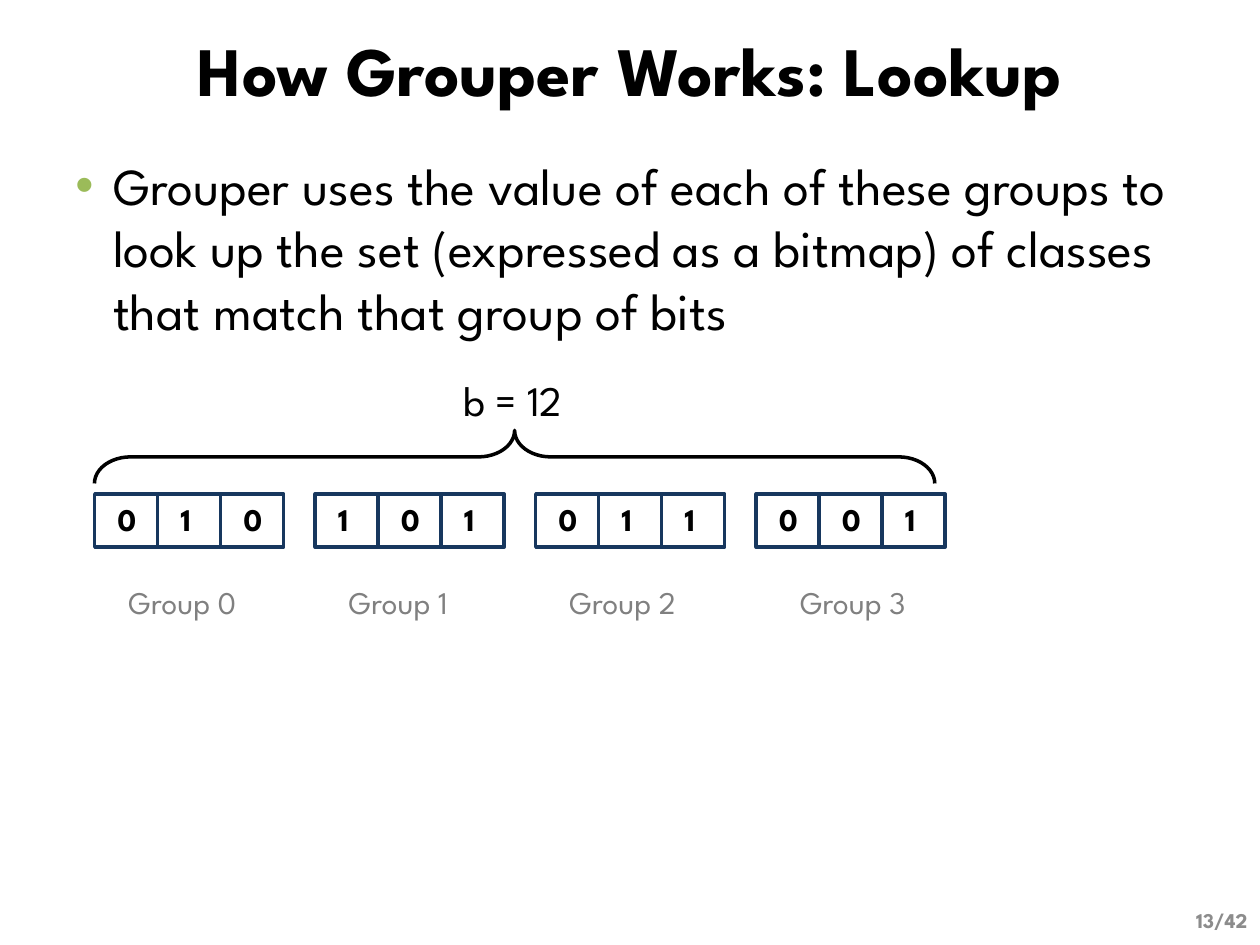
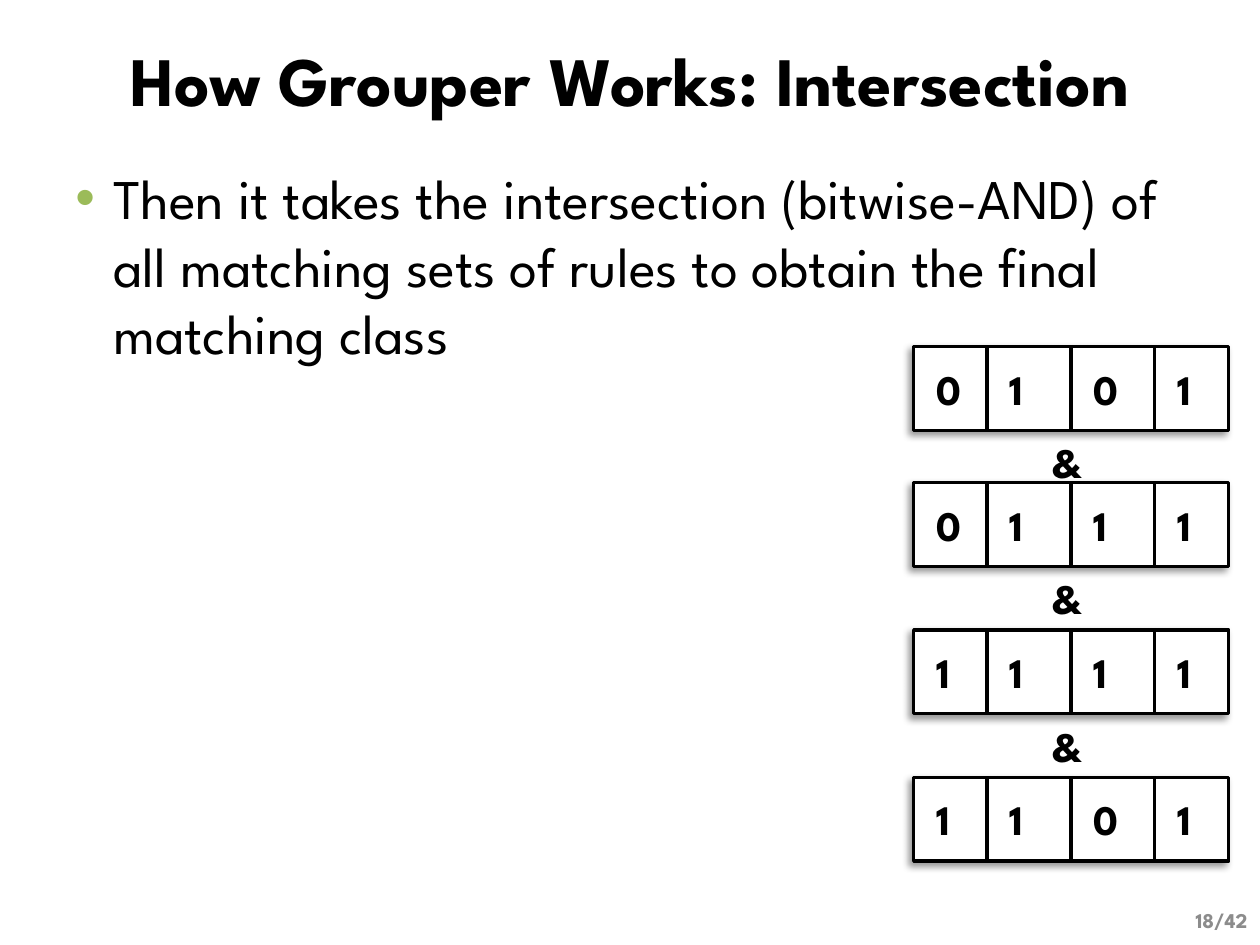
"""Build two slides on how Grouper looks up bit groups and intersects the matches."""
from lxml.etree import SubElement
from pptx import Presentation
from pptx.dml.color import RGBColor
from pptx.enum.shapes import MSO_CONNECTOR, MSO_SHAPE
from pptx.enum.text import MSO_ANCHOR, PP_ALIGN
from pptx.oxml.ns import qn
from pptx.util import Cm, Pt

LOOKUP = {
    "title": "How Grouper Works: Lookup",
    "body": "Grouper uses the value of each of these groups to look up the set "
            "(expressed as a bitmap) of classes that match that group of bits",
    "body_size": 29.6,
    "shift": -0.2,
    "number": "13/42",
}
INTERSECTION = {
    "title": "How Grouper Works: Intersection",
    "body": "Then it takes the intersection (bitwise-AND) of all matching sets of rules "
            "to obtain the final matching class",
    "body_size": 32,
    "shift": 0,
    "number": "18/42",
}
KEY_LENGTH = "b = 12"
GROUPS = [("Group 0", "010", 2.34), ("Group 1", "101", 6.78),
          ("Group 2", "011", 11.23), ("Group 3", "001", 15.88)]
BITMAPS = [("0101", 6.99), ("0111", 9.73), ("1111", 12.7), ("1101", 15.67)]

FONT = "League Spartan"
BLACK = RGBColor(0x00, 0x00, 0x00)
WHITE = RGBColor(0xFF, 0xFF, 0xFF)
NAVY = RGBColor(0x17, 0x37, 0x5E)
LABEL_GREY = RGBColor(0x80, 0x80, 0x80)
NUMBER_GREY = RGBColor(0x8C, 0x8C, 0x8C)
BULLET_GREEN = "9BBB59"

GROUP_LEFT, GROUP_TOP, GROUP_PITCH = 1.91, 9.96, 4.445
BIT_WIDTH, BIT_HEIGHT = 1.27, 1.07
BITMAP_LEFT, BITMAP_WIDTH, BITMAP_HEIGHT = 18.42, 6.35, 1.69
DIVIDERS = (1.48, 3.17, 4.86)
DIGIT_INSET = 0.21


def add_text(page, text, left, top, width, height, size=18, color=BLACK, bold=False,
             align=PP_ALIGN.LEFT, anchor=MSO_ANCHOR.TOP, wrap=True, bullet=None):
    box = page.shapes.add_textbox(Cm(left), Cm(top), Cm(width), Cm(height))
    frame = box.text_frame
    frame.word_wrap = wrap
    frame.vertical_anchor = anchor
    para = frame.paragraphs[0]
    para.alignment = align
    if bullet:
        add_bullet(para, bullet)
    span = para.add_run()
    span.text = text
    span.font.name = FONT
    span.font.size = Pt(size)
    span.font.bold = bold
    span.font.color.rgb = color


def add_bullet(para, color):
    properties = para._p.get_or_add_pPr()
    properties.set("marL", str(Cm(0.76)))
    properties.set("indent", str(-Cm(0.76)))
    bullet_color = SubElement(properties, qn("a:buClr"))
    SubElement(bullet_color, qn("a:srgbClr"), val=color)
    SubElement(properties, qn("a:buFont"), typeface="Arial")
    SubElement(properties, qn("a:buChar"), char="•")


def add_outline(page, left, top, width, height, color=BLACK, kind=MSO_SHAPE.RECTANGLE):
    shape = page.shapes.add_shape(kind, Cm(left), Cm(top), Cm(width), Cm(height))
    shape.shadow.inherit = False
    shape.line.color.rgb = color
    shape.line.width = Pt(2)
    if kind == MSO_SHAPE.RECTANGLE:
        shape.fill.solid()
        shape.fill.fore_color.rgb = WHITE
    else:
        shape.fill.background()
    return shape


def add_soft_shadow(shape):
    effects = shape._element.spPr.find(qn("a:effectLst"))
    shadow = SubElement(effects, qn("a:outerShdw"), blurRad=str(Pt(4)), dist=str(Pt(3)),
                        dir="8100000", algn="tr", rotWithShape="0")
    shade = SubElement(shadow, qn("a:srgbClr"), val=str(BLACK))
    SubElement(shade, qn("a:alpha"), val="40000")


def add_page(deck, content):
    page = deck.slides.add_slide(deck.slide_layouts[6])
    shift = content["shift"]
    add_text(page, content["title"], 1.27, shift, 22.86, 3.18, size=39.6, bold=True,
             align=PP_ALIGN.CENTER, anchor=MSO_ANCHOR.MIDDLE)
    add_text(page, content["body"], 1.27, 3.18 + shift, 22.86, 4.45,
             size=content["body_size"], bullet=BULLET_GREEN)
    add_text(page, content["number"], 19.48, 18.03, 5.92, 1.02, size=12, bold=True,
             color=NUMBER_GREY, align=PP_ALIGN.RIGHT, anchor=MSO_ANCHOR.MIDDLE)
    return page


def add_bit_group(page, bits, left):
    add_outline(page, left, GROUP_TOP, BIT_WIDTH * len(bits), BIT_HEIGHT, NAVY)
    add_outline(page, left + BIT_WIDTH, GROUP_TOP, BIT_WIDTH, BIT_HEIGHT, NAVY)
    for index, bit in enumerate(bits):
        add_text(page, bit, left + index * BIT_WIDTH + DIGIT_INSET, GROUP_TOP, 0.97, 1.02,
                 bold=True, wrap=False)


def add_bitmap(page, bits, top):
    first, middle, last = DIVIDERS
    add_soft_shadow(add_outline(page, BITMAP_LEFT, top, BITMAP_WIDTH, BITMAP_HEIGHT))
    add_outline(page, BITMAP_LEFT + first, top, last - first, BITMAP_HEIGHT)
    center = Cm(BITMAP_LEFT + middle)
    divider = page.shapes.add_connector(MSO_CONNECTOR.STRAIGHT, center, Cm(top),
                                        center, Cm(top + BITMAP_HEIGHT))
    divider.line.color.rgb = BLACK
    divider.line.width = Pt(2)
    SubElement(divider._element.spPr, qn("a:effectLst"))
    for bit, offset in zip(bits, (0, *DIVIDERS)):
        add_text(page, bit, BITMAP_LEFT + offset + DIGIT_INSET, top + DIGIT_INSET, 1.09, 1.27,
                 size=24, bold=True)


def build_lookup(deck):
    page = add_page(deck, LOOKUP)
    for index, (label, bits, label_left) in enumerate(GROUPS):
        add_bit_group(page, bits, GROUP_LEFT + index * GROUP_PITCH)
        add_text(page, label, label_left, 11.63, 2.82, 1.02, color=LABEL_GREY, wrap=False)
    brace = add_outline(page, 9.84, 0.74, 1.07, 16.94, kind=MSO_SHAPE.RIGHT_BRACE)
    brace.rotation = 270
    brace.adjustments[0] = 0.68
    add_text(page, KEY_LENGTH, 9.09, 7.42, 3.61, 1.27, size=24)


def build_intersection(deck):
    page = add_page(deck, INTERSECTION)
    for _, top in BITMAPS[:-1]:
        add_text(page, "&", 20.96, top + BITMAP_HEIGHT, 1.24, 1.27, size=24, bold=True,
                 wrap=False)
    for bits, top in BITMAPS:
        add_bitmap(page, bits, top)


def main():
    deck = Presentation()
    deck.slide_width, deck.slide_height = Cm(25.4), Cm(19.05)
    build_lookup(deck)
    build_intersection(deck)
    deck.save("out.pptx")


if __name__ == "__main__":
    main()
